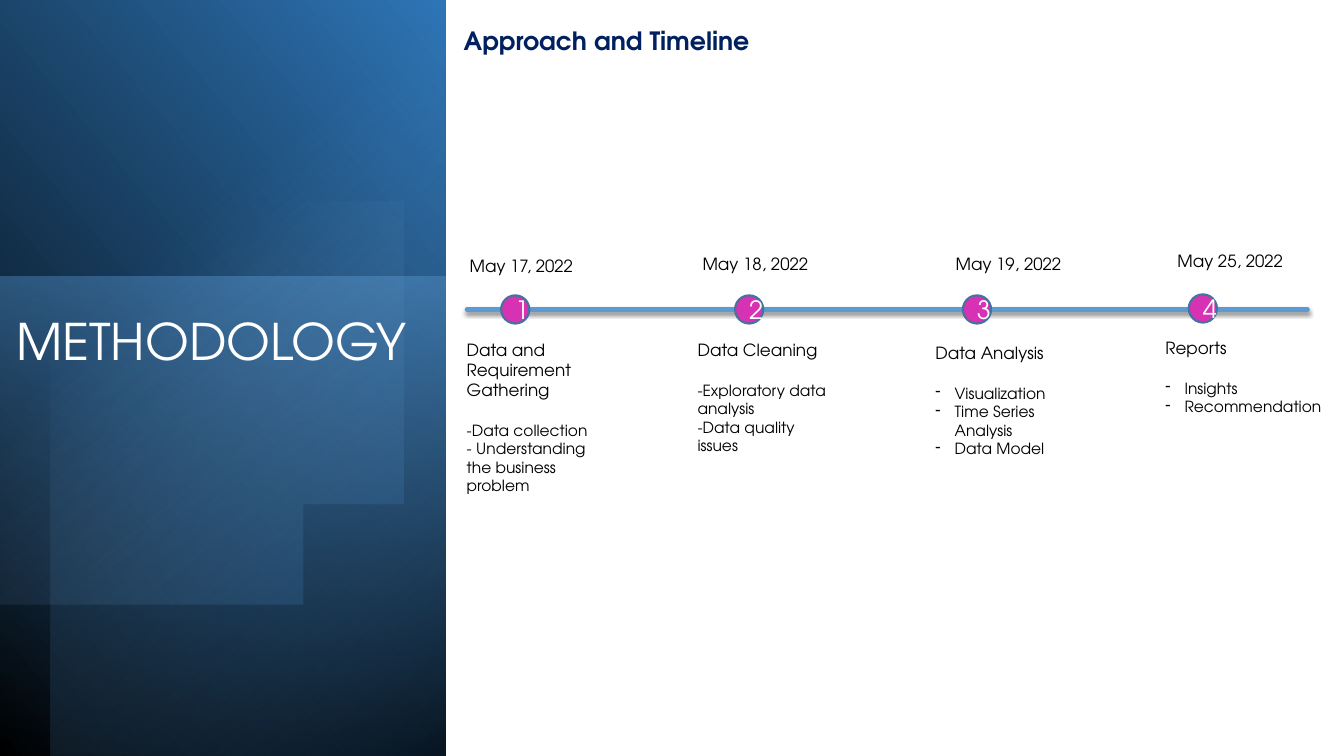
from math import cos, radians, sin

from lxml import etree
from pptx import Presentation
from pptx.dml.color import RGBColor
from pptx.enum.shapes import MSO_CONNECTOR as Connector, MSO_SHAPE as Shape
from pptx.enum.text import MSO_ANCHOR as Anchor, MSO_AUTO_SIZE as AutoSize, PP_ALIGN as Align
from pptx.oxml import parse_xml
from pptx.oxml.ns import nsdecls, qn
from pptx.util import Inches, Pt

FONT = "TeX Gyre Adventor"
DASH_INDENT = 0.19
PANELS = [
    ((-1.55, 1.55, 7.52, 4.42), 90, True, [(0, "000000", 100), (100, "2E75B6", 100)], 310),
    ((-0.17, 2.91, 4.76, 4.42), 270, False, [(0, "5B9BD5", 50), (100, "1F4E79", 0)], 190),
    ((-1.29, 1.79, 7.5, 3.92), 270, True, [(0, "000000", 59), (69, "5B9BD5", 0)], 220),
]
DISC_STOPS = [(39, "9DC3E6", 0), (100, "2E75B6", 26)]
STAGES = [
    ("May 17, 2022", (4.56, 2.49), (4.97, 2.93), (4.53, 3.32, 1.51, 1.88),
     "Data and Requirement Gathering",
     ["-Data collection", "- Understanding the business problem"], False),
    ("May 18, 2022", (6.87, 2.47), (7.29, 2.93), (6.82, 3.32, 1.51, 1.26),
     "Data Cleaning", ["-Exploratory data analysis", "-Data quality issues"], False),
    ("May 19, 2022", (9.38, 2.47), (9.55, 2.93), (9.18, 3.35, 1.51, 1.67),
     "Data Analysis", ["Visualization", "Time Series Analysis", "Data Model"], True),
    ("May 25, 2022", (11.58, 2.44), (11.79, 2.92), (11.46, 3.3, 1.78, 1.28),
     "Reports", ["Insights", "Recommendation"], True),
]


def color(value):
    return RGBColor.from_string(value)


def inches(values):
    return [Inches(value) for value in values]


def apply(target, values):
    for name, value in values.items():
        setattr(target, name, value)


def add_span(para, text, size, tint="000000", bold=False):
    span = para.add_run()
    span.text = text
    apply(span.font, {"name": FONT, "size": Pt(size), "bold": bold})
    span.font.color.rgb = color(tint)


def add_dash(para):
    props = para._p.get_or_add_pPr()
    apply_indent = {"marL": Inches(DASH_INDENT), "indent": -Inches(DASH_INDENT)}
    for name, value in apply_indent.items():
        props.set(name, str(value))
    etree.SubElement(props, qn("a:buChar")).set("char", "-")


def add_text(page, place, text, size, tint="000000", bold=False):
    box = page.shapes.add_textbox(*inches(place))
    apply(box.text_frame, {"word_wrap": True, "auto_size": AutoSize.SHAPE_TO_FIT_TEXT})
    add_span(box.text_frame.paragraphs[0], text, size, tint, bold)
    return box.text_frame


def fill_gradient(shape, stops, angle):
    shape.shadow.inherit = False
    shape.line.fill.background()
    shape.fill.gradient()
    marks = "".join(
        f'<a:gs pos="{spot * 1000}"><a:srgbClr val="{tint}">'
        f'<a:alpha val="{alpha * 1000}"/></a:srgbClr></a:gs>'
        for spot, tint, alpha in stops
    )
    gradient = parse_xml(
        f'<a:gradFill {nsdecls("a")} rotWithShape="1"><a:gsLst>{marks}</a:gsLst>'
        f'<a:lin ang="{angle * 60000}" scaled="0"/></a:gradFill>'
    )
    props = shape._element.spPr
    props.replace(props.find(qn("a:gradFill")), gradient)


def add_panel(page, place, rotation, flipped, stops, angle):
    panel = page.shapes.add_shape(Shape.RECTANGLE, *inches(place))
    panel.rotation = rotation
    if flipped:
        panel._element.spPr.find(qn("a:xfrm")).set("flipH", "1")
    fill_gradient(panel, stops, angle)


def add_disc(page, center_x, center_y, radius, sweep):
    points = [
        (center_x + radius * cos(radians(angle)), center_y + radius * sin(radians(angle)))
        for angle in range(-sweep, sweep + 1, 3)
    ]
    builder = page.shapes.build_freeform(*points[0], scale=Inches(1))
    builder.add_line_segments(points[1:], close=True)
    fill_gradient(builder.convert_to_shape(), DISC_STOPS, 52)


def add_title(page, text):
    title = page.shapes.title
    page.shapes._spTree.append(title._element)
    left, top, width, height = inches((0.06, 3.03, 4.36, 3.36))
    apply(title, {"left": left, "top": top, "width": width, "height": height})
    apply(title.text_frame, {"word_wrap": True, "vertical_anchor": Anchor.TOP})
    para = title.text_frame.paragraphs[0]
    para.alignment = Align.LEFT
    add_span(para, text, 36, "FFFFFF")


def add_axis(page):
    axis = page.shapes.add_connector(Connector.STRAIGHT, *inches((4.63, 3.07, 12.97, 3.07)))
    axis.line.color.rgb = color("5B9BD5")
    axis.line.width = Pt(3)
    axis.line._ln.set("cap", "rnd")
    axis._element.spPr.append(parse_xml(
        f'<a:effectLst {nsdecls("a")}><a:outerShdw blurRad="{Pt(3)}" dist="{Pt(2)}" '
        'dir="5400000" rotWithShape="0"><a:srgbClr val="000000"><a:alpha val="45000"/>'
        '</a:srgbClr></a:outerShdw></a:effectLst>'
    ))


def add_marker(page, place, number):
    marker = page.shapes.add_shape(Shape.OVAL, *inches((*place, 0.28, 0.28)))
    marker.shadow.inherit = False
    marker.fill.solid()
    marker.fill.fore_color.rgb = color("D632B3")
    marker.line.color.rgb = color("43739E")
    marker.line.width = Pt(1.5)
    marker.text_frame.vertical_anchor = Anchor.MIDDLE
    para = marker.text_frame.paragraphs[0]
    para.alignment = Align.CENTER
    add_span(para, str(number), 18, "FFFFFF")


def add_details(page, place, heading, items, dashed):
    frame = add_text(page, place, heading, 12)
    for index, item in enumerate(items):
        para = frame.add_paragraph()
        if index == 0:
            para.space_before = Pt(15)
        if dashed:
            add_dash(para)
        add_span(para, item, 11)


def main():
    deck = Presentation()
    apply(deck, {"slide_width": Inches(13.33), "slide_height": Inches(7.5)})
    page = deck.slides.add_slide(deck.slide_layouts[5])
    for panel in PANELS:
        add_panel(page, *panel)
    add_disc(page, 1.43, 3.46, 2.62, 123)
    add_title(page, "METHODOLOGY")
    add_axis(page)
    add_text(page, (4.5, 0.2, 3.08, 0.4), "Approach and Timeline", 18, "002060", True)
    for number, (date, date_place, marker_place, place, *details) in enumerate(STAGES, 1):
        add_marker(page, marker_place, number)
        add_text(page, (*date_place, 1.46, 0.3), date, 12)
        add_details(page, place, *details)
    deck.save("out.pptx")


main()
